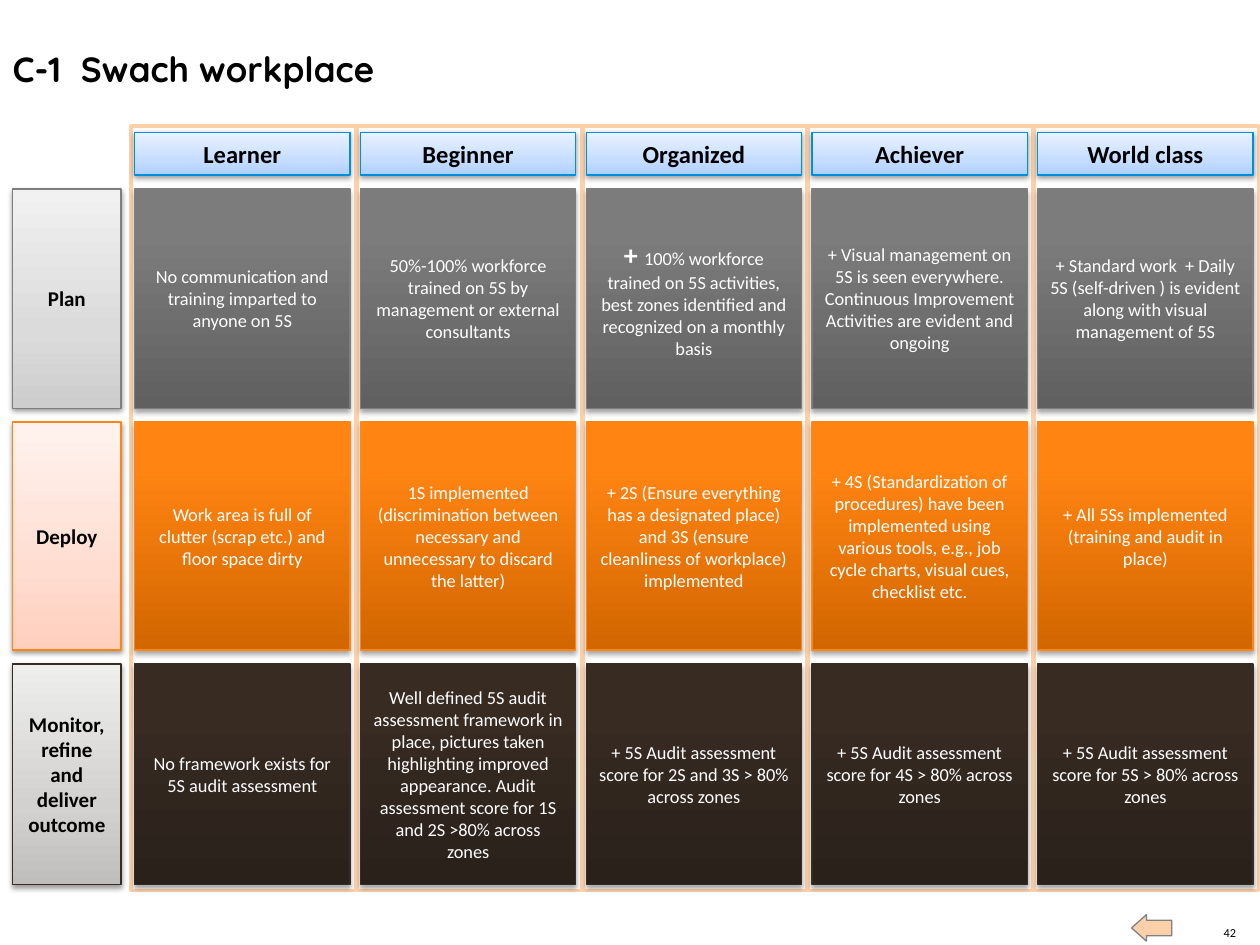
from lxml.etree import SubElement
from pptx import Presentation
from pptx.dml.color import RGBColor
from pptx.enum.shapes import MSO_SHAPE as SHAPE
from pptx.enum.text import MSO_ANCHOR as ANCHOR, MSO_AUTO_SIZE as AUTO_SIZE, PP_ALIGN as ALIGN
from pptx.oxml.ns import qn
from pptx.util import Pt

FRAME_LEFT, FRAME_TOP, FRAME_W, FRAME_H = 75, 72, 128.2, 437
CARD_LEFT, CARD_W, COLUMN_STEP = 77, 123, 129
LABEL_LEFT, LABEL_W = 7.2, 62
HEADER_TOP, HEADER_H = 75.6, 24.5

LEVELS = ["Learner", "Beginner", "Organized", "Achiever", "World class"]
HEADER_STOPS = [(0, "AECFFF"), (35, "C6DDFF"), (100, "E9F2FF")]

PHASES = [
    dict(name="Plan", top=108, height=125.3, line="7D7D7D",
         label_stops=[(0, "CDCDCD"), (35, "DBDBDB"), (100, "F1F1F1")],
         card_stops=[(0, "606060"), (80, "7C7C7C"), (100, "7D7D7D")],
         cards=["No communication and training imparted to anyone on 5S",
                "50%-100% workforce trained on 5S by management or external consultants",
                "100% workforce trained on 5S activities, best zones identified and "
                "recognized on a monthly basis",
                "+ Visual management on 5S is seen everywhere. Continuous Improvement "
                "Activities are evident and ongoing",
                "+ Standard work  + Daily 5S (self-driven ) is evident along with "
                "visual management of 5S"],
         lead={2: "+ "}),
    dict(name="Deploy", top=241.2, height=130.3, line="FF8615",
         label_stops=[(0, "FFCFBD"), (35, "FFDDD1"), (100, "FFF2EE")],
         card_stops=[(0, "D26600"), (80, "FF8412"), (100, "FF8514")],
         cards=["Work area is full of clutter (scrap etc.) and floor space dirty",
                "1S implemented (discrimination between necessary and unnecessary to "
                "discard the latter)",
                "+ 2S (Ensure everything has a designated place) and 3S (ensure "
                "cleanliness of workplace) implemented",
                "+ 4S (Standardization of procedures) have been implemented using "
                "various tools, e.g., job cycle charts, visual cues, checklist etc.",
                "+ All 5Ss implemented (training and audit in place)"],
         lead={}),
    dict(name="Monitor, refine and deliver outcome", top=379.4, height=126, line="352C25",
         label_stops=[(0, "C0BEBC"), (35, "D3D1D0"), (100, "EEEEED")],
         card_stops=[(0, "2A211B"), (80, "372B22"), (100, "372B22")],
         cards=["No framework exists for 5S audit assessment",
                "Well defined 5S audit assessment framework in place, pictures taken "
                "highlighting improved appearance. Audit assessment score for 1S and 2S "
                ">80% across zones"]
               + [f"+ 5S Audit assessment score for {done} > 80% across zones"
                  for done in ("2S and 3S", "4S", "5S")],
         lead={}),
]


def rgb(color):
    return RGBColor.from_string(color)


def add_text(p, text, size=10.5, color="000000", bold=False, font="Calibri", align=ALIGN.CENTER):
    p.alignment = align
    r = p.add_run()
    r.text = text
    r.font.name, r.font.size, r.font.bold = font, Pt(size), bold
    r.font.color.rgb = rgb(color)


def set_gradient(sp, stops):
    """Fill bottom to top with (percent, colour) stops."""
    sp.fill.gradient()
    sp.fill.gradient_angle = 90
    stop_list = next(sp._element.spPr.iter(qn("a:gsLst")))
    for old in list(stop_list):
        stop_list.remove(old)
    for percent, color in stops:
        stop = SubElement(stop_list, qn("a:gs"), pos=str(percent * 1000))
        SubElement(stop, qn("a:srgbClr"), val=color)


def set_shadow(sp, opacity, distance):
    """Cast a soft black shadow straight down."""
    effects = sp._element.spPr.find(qn("a:effectLst"))
    shadow = SubElement(effects, qn("a:outerShdw"), blurRad=str(Pt(3.1)),
                        dist=str(Pt(distance)), dir="5400000", rotWithShape="0")
    black = SubElement(shadow, qn("a:srgbClr"), val="000000")
    SubElement(black, qn("a:alpha"), val=str(opacity * 1000))


class MatrixSlide:
    def __init__(self, prs):
        self.s = prs.slides.add_slide(prs.slide_layouts[5])

    def title(self, text):
        sp = self.s.shapes.title
        sp.left, sp.top, sp.width, sp.height = Pt(0), Pt(23.8), Pt(619), Pt(32)
        tf = sp.text_frame
        tf.auto_size, tf.vertical_anchor, tf.word_wrap = AUTO_SIZE.NONE, ANCHOR.TOP, True
        add_text(tf.paragraphs[0], text, size=20, bold=True, font="Quicksand", align=ALIGN.LEFT)

    def shape(self, left, top, width, height, line, fill=None, weight=0.75, kind=SHAPE.RECTANGLE):
        sp = self.s.shapes.add_shape(kind, Pt(left), Pt(top), Pt(width), Pt(height))
        sp.shadow.inherit = False
        sp.line.color.rgb, sp.line.width = rgb(line), Pt(weight)
        if fill:
            sp.fill.solid()
            sp.fill.fore_color.rgb = rgb(fill)
        return sp

    def tile(self, left, top, width, height, line, stops, text, lead="", shadow=(38, 1.6), **fmt):
        sp = self.shape(left, top, width, height, line)
        set_gradient(sp, stops)
        set_shadow(sp, *shadow)
        tf = sp.text_frame
        tf.word_wrap, tf.vertical_anchor = True, ANCHOR.MIDDLE
        p = tf.paragraphs[0]
        if lead:
            add_text(p, lead, **{**fmt, "size": 16, "bold": True})
        add_text(p, text, **fmt)

    def back_arrow(self):
        sp = self.shape(646.6, 522.7, 23, 15.1, "808080", "FCD1AA", kind=SHAPE.RIGHT_ARROW)
        sp.rotation = 180
        sp.adjustments[0], sp.adjustments[1] = 0.59, 0.56

    def page_number(self, number):
        sp = self.s.shapes.add_textbox(Pt(697.7), Pt(528.5), Pt(8.6), Pt(8.6))
        tf = sp.text_frame
        tf.margin_left = tf.margin_right = tf.margin_top = tf.margin_bottom = 0
        tf.word_wrap, tf.vertical_anchor = False, ANCHOR.BOTTOM
        add_text(tf.paragraphs[0], number, size=7, align=ALIGN.RIGHT)


def main():
    prs = Presentation()
    prs.slide_width, prs.slide_height = Pt(720), Pt(540)
    slide = MatrixSlide(prs)
    slide.page_number("42")
    slide.back_arrow()
    slide.title("C-1  Swach workplace")

    for phase in PHASES:
        slide.tile(LABEL_LEFT, phase["top"], LABEL_W, phase["height"], phase["line"],
                   phase["label_stops"], phase["name"], size=12, bold=True)
    for col in range(len(LEVELS)):
        slide.shape(FRAME_LEFT + col * COLUMN_STEP, FRAME_TOP, FRAME_W, FRAME_H,
                    "FCD1AA", "FFFFFF", weight=2)
    for phase in PHASES:
        for col, text in enumerate(phase["cards"]):
            slide.tile(CARD_LEFT + col * COLUMN_STEP, phase["top"], CARD_W, phase["height"],
                       phase["line"], phase["card_stops"], text,
                       lead=phase["lead"].get(col, ""), shadow=(35, 1.8), color="FFFFFF")
    for col, level in enumerate(LEVELS):
        slide.tile(CARD_LEFT + col * COLUMN_STEP, HEADER_TOP, CARD_W, HEADER_H, "008FDC",
                   HEADER_STOPS, level, size=14, bold=True)
    prs.save("out.pptx")


if __name__ == "__main__":
    main()
